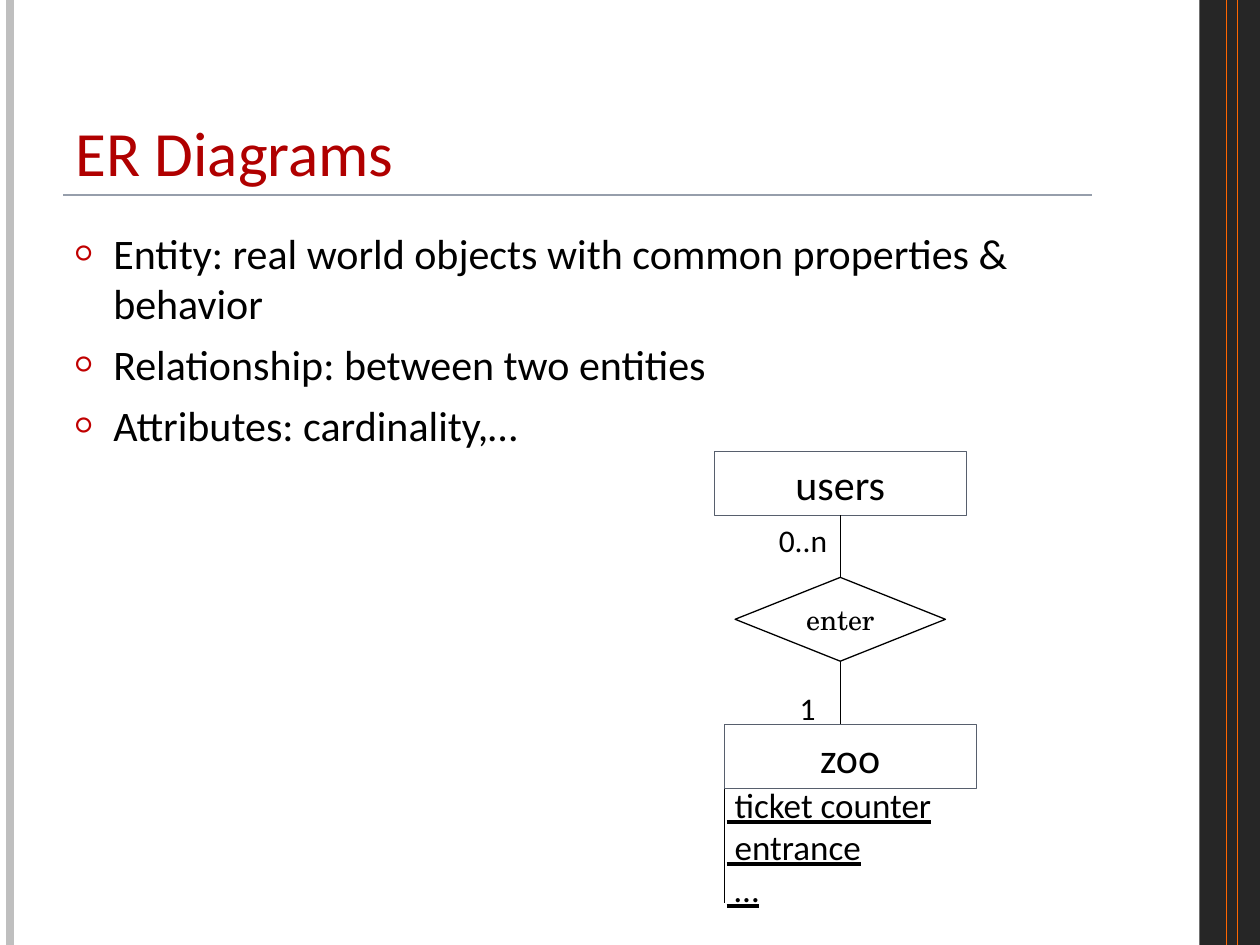
from dataclasses import dataclass

from lxml import etree
from pptx import Presentation
from pptx.dml.color import RGBColor
from pptx.enum import shapes, text
from pptx.oxml import ns
from pptx.util import Cm, Pt

BODY_FONT = "Calibri"
BLACK = "000000"
SLATE = "575F6D"


@dataclass
class Area:
    left: float
    top: float
    width: float
    height: float

    def lengths(self):
        return Cm(self.left), Cm(self.top), Cm(self.width), Cm(self.height)


@dataclass
class Node:
    label: str
    kind: shapes.MSO_SHAPE
    area: Area
    line: str
    size: int
    font: str = BODY_FONT


@dataclass
class Rule:
    start: tuple[float, float]
    end: tuple[float, float]
    color: str
    weight: float


@dataclass
class Label:
    lines: list[str]
    area: Area
    size: int
    underline: bool = False


USERS = Node("users", shapes.MSO_SHAPE.RECTANGLE, Area(14.4, 9.1, 5.08, 1.29), SLATE, 24)
ENTER = Node("enter", shapes.MSO_SHAPE.DIAMOND, Area(14.82, 11.64, 4.24, 1.69), BLACK, 16,
             "TeX Gyre Schola")
ZOO = Node("zoo", shapes.MSO_SHAPE.RECTANGLE, Area(14.6, 14.6, 5.08, 1.29), SLATE, 24)

FRAME_RULES = [
    Rule((0.21, 0), (0.21, 19.05), "BFBFBF", 4.5),
    Rule((24.72, 0), (24.72, 19.05), "FF6600", 0.75),
    Rule((24.95, 0), (24.95, 19.05), "FF6600", 0.75),
    Rule((1.27, 3.93), (22.01, 3.93), "969EAB", 1),
]
ATTRIBUTES = Label([" ticket counter", " entrance", " …"], Area(14.4, 15.67, 4.72, 2.82), 20, True)
CARDINALITIES = [
    Label(["0..n"], Area(15.45, 10.37, 1.49, 1.02), 18),
    Label(["1"], Area(15.87, 13.76, 0.85, 1.02), 18),
]
POINTS = [
    "Entity: real world objects with common properties & behavior",
    "Relationship: between two entities",
    "Attributes: cardinality,…",
]


def rgb(value: str) -> RGBColor:
    return RGBColor.from_string(value)


def style(para, size: float, color: str = BLACK, font: str = BODY_FONT) -> None:
    para.font.size = Pt(size)
    para.font.name = font
    para.font.color.rgb = rgb(color)


def place(box, area: Area) -> None:
    box.left, box.top, box.width, box.height = area.lengths()


def draw_rule(page, rule: Rule):
    points = [Cm(value) for value in (*rule.start, *rule.end)]
    line = page.shapes.add_connector(shapes.MSO_CONNECTOR.STRAIGHT, *points)
    line.line.color.rgb = rgb(rule.color)
    line.line.width = Pt(rule.weight)
    etree.SubElement(line._element.spPr, ns.qn("a:effectLst"))
    return line


def draw_node(page, node: Node):
    box = page.shapes.add_shape(node.kind, *node.area.lengths())
    box.shadow.inherit = False
    box.fill.solid()
    box.fill.fore_color.rgb = rgb("FFFFFF")
    box.line.color.rgb = rgb(node.line)
    box.line.width = Pt(0.75)
    box.text_frame.vertical_anchor = text.MSO_ANCHOR.MIDDLE
    para = box.text_frame.paragraphs[0]
    para.text = node.label
    para.alignment = text.PP_ALIGN.CENTER
    style(para, node.size, font=node.font)
    return box


def draw_label(page, label: Label) -> None:
    frame = page.shapes.add_textbox(*label.area.lengths()).text_frame
    frame.word_wrap = False
    frame.auto_size = text.MSO_AUTO_SIZE.SHAPE_TO_FIT_TEXT
    frame.text = "\n".join(label.lines)
    for para in frame.paragraphs:
        style(para, label.size)
        if label.underline:
            para.font.underline = True


def add_bullet(para) -> None:
    props = para._p.get_or_add_pPr()
    props.set("marL", str(Cm(0.76)))
    props.set("indent", str(-Cm(0.76)))
    color = etree.SubElement(props, ns.qn("a:buClr"))
    etree.SubElement(color, ns.qn("a:srgbClr"), val="C00000")
    etree.SubElement(props, ns.qn("a:buSzPct"), val="70000")
    etree.SubElement(props, ns.qn("a:buFont"), typeface=BODY_FONT)
    etree.SubElement(props, ns.qn("a:buChar"), char="○")


def fill_title(box) -> None:
    place(box, Area(1.27, 0.76, 20.75, 3.18))
    frame = box.text_frame
    frame.text = "ER Diagrams"
    frame.auto_size = text.MSO_AUTO_SIZE.NONE
    frame.vertical_anchor = text.MSO_ANCHOR.BOTTOM
    para = frame.paragraphs[0]
    para.alignment = text.PP_ALIGN.LEFT
    style(para, 36, "B00000")


def fill_points(box) -> None:
    place(box, Area(1.27, 4.45, 20.75, 13.54))
    frame = box.text_frame
    frame.text = "\n".join(POINTS)
    frame.auto_size = text.MSO_AUTO_SIZE.NONE
    for index, para in enumerate(frame.paragraphs):
        add_bullet(para)
        para.space_before = Pt(6 if index else 0)
        style(para, 24)


def draw_sidebar(page) -> None:
    bar = page.shapes.add_shape(shapes.MSO_SHAPE.RECTANGLE, *Area(24.18, 0, 1.22, 19.05).lengths())
    bar.shadow.inherit = False
    bar.fill.solid()
    bar.fill.fore_color.rgb = rgb("262626")
    bar.line.fill.background()


def draw_diagram(page) -> None:
    enter = draw_node(page, ENTER)
    users = draw_node(page, USERS)
    draw_label(page, ATTRIBUTES)
    draw_rule(page, Rule((14.6, 18.2), (14.6, 15.88), BLACK, 0.5))
    draw_node(page, ZOO)
    middle = ENTER.area.left + ENTER.area.width / 2
    to_zoo = draw_rule(page, Rule((middle, 13.33), (middle, ZOO.area.top), BLACK, 0.5))
    to_zoo.begin_connect(enter, 2)
    to_users = draw_rule(page, Rule((middle, 11.64), (middle, 10.39), BLACK, 0.5))
    to_users.begin_connect(enter, 0)
    to_users.end_connect(users, 2)
    for label in CARDINALITIES:
        draw_label(page, label)


def main() -> None:
    deck = Presentation()
    deck.slide_width, deck.slide_height = Cm(25.4), Cm(19.05)
    page = deck.slides.add_slide(deck.slide_layouts[1])
    draw_sidebar(page)
    for rule in FRAME_RULES:
        draw_rule(page, rule)
    fill_title(page.shapes.title)
    fill_points(page.placeholders[1])
    draw_diagram(page)
    deck.save("out.pptx")


if __name__ == "__main__":
    main()
